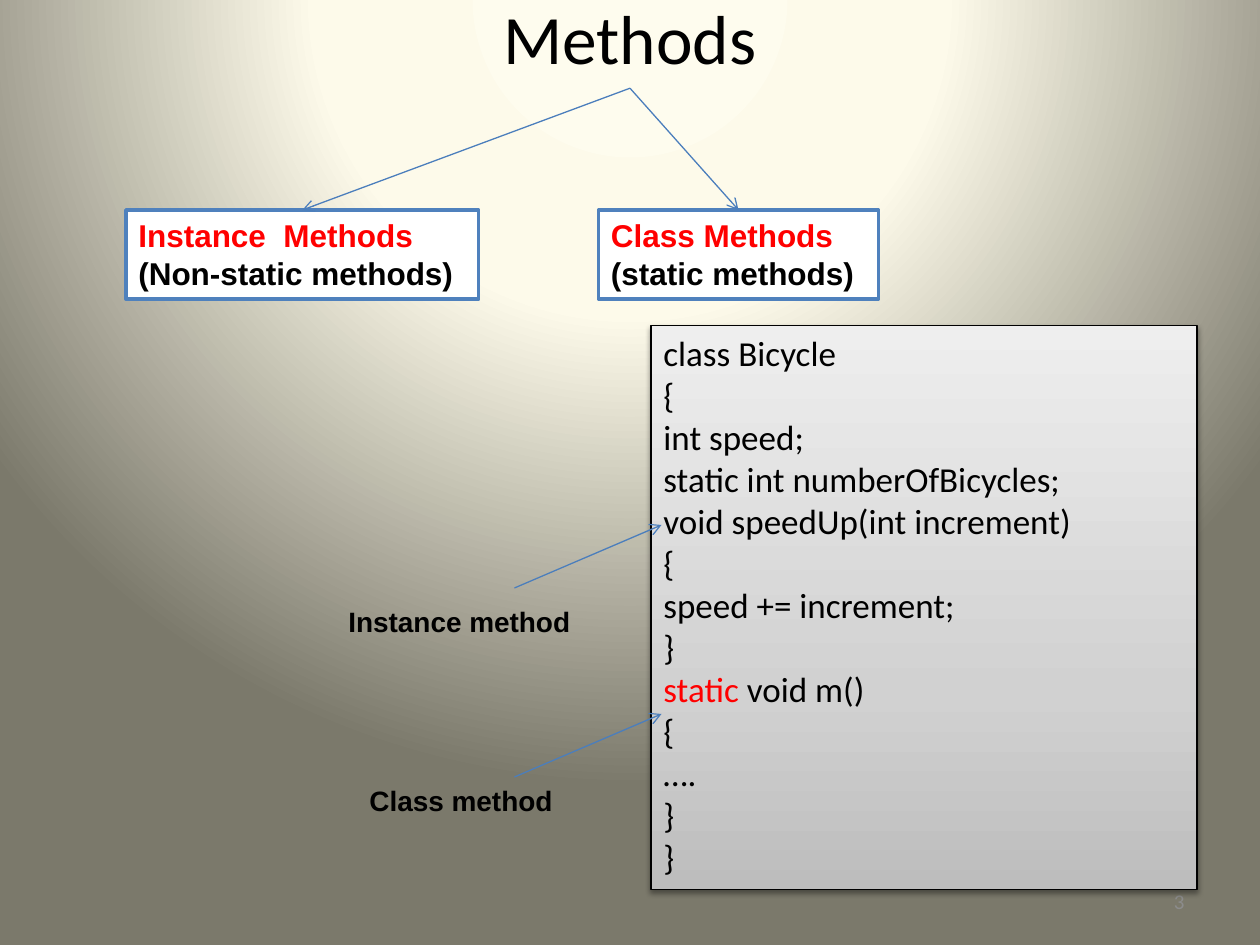
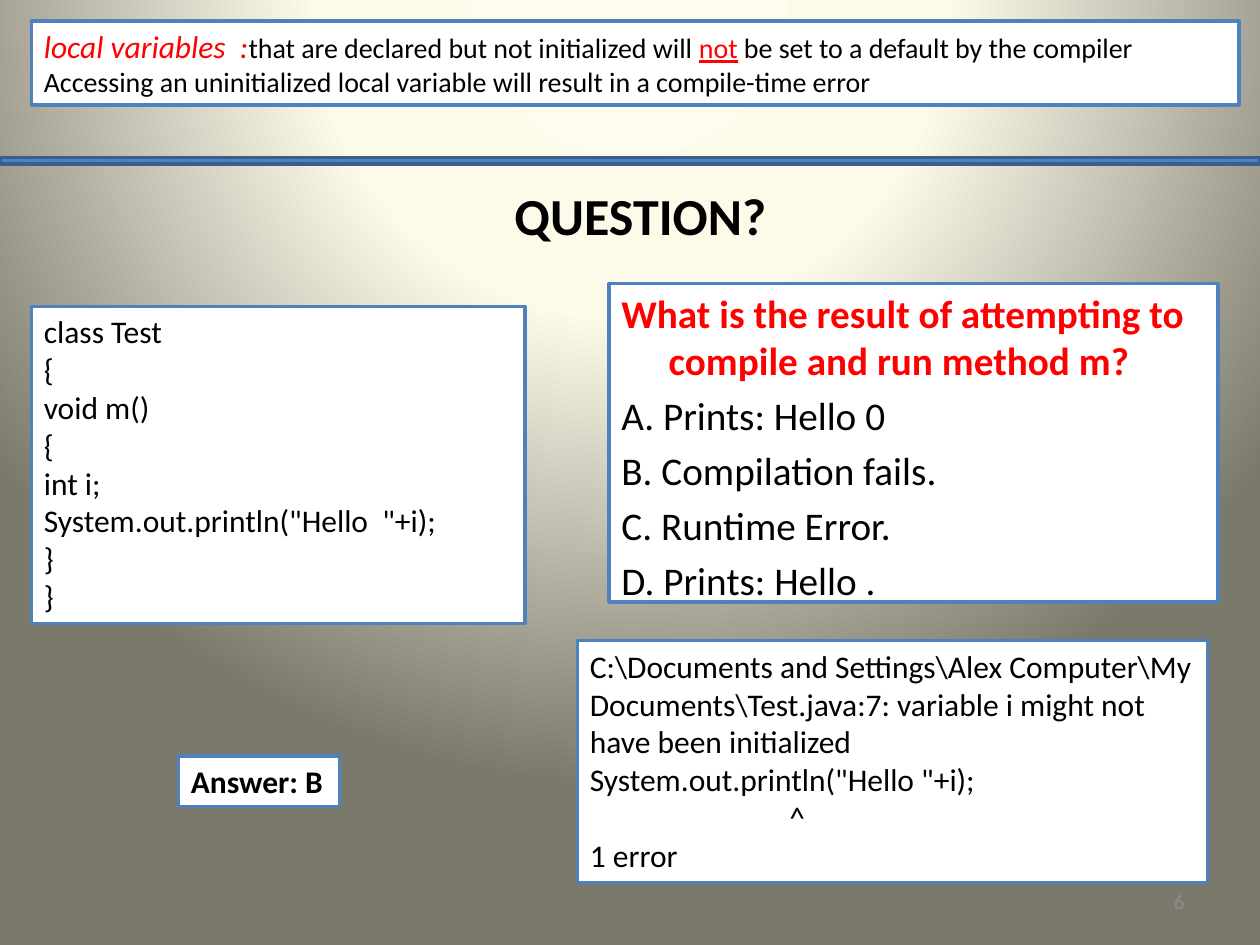
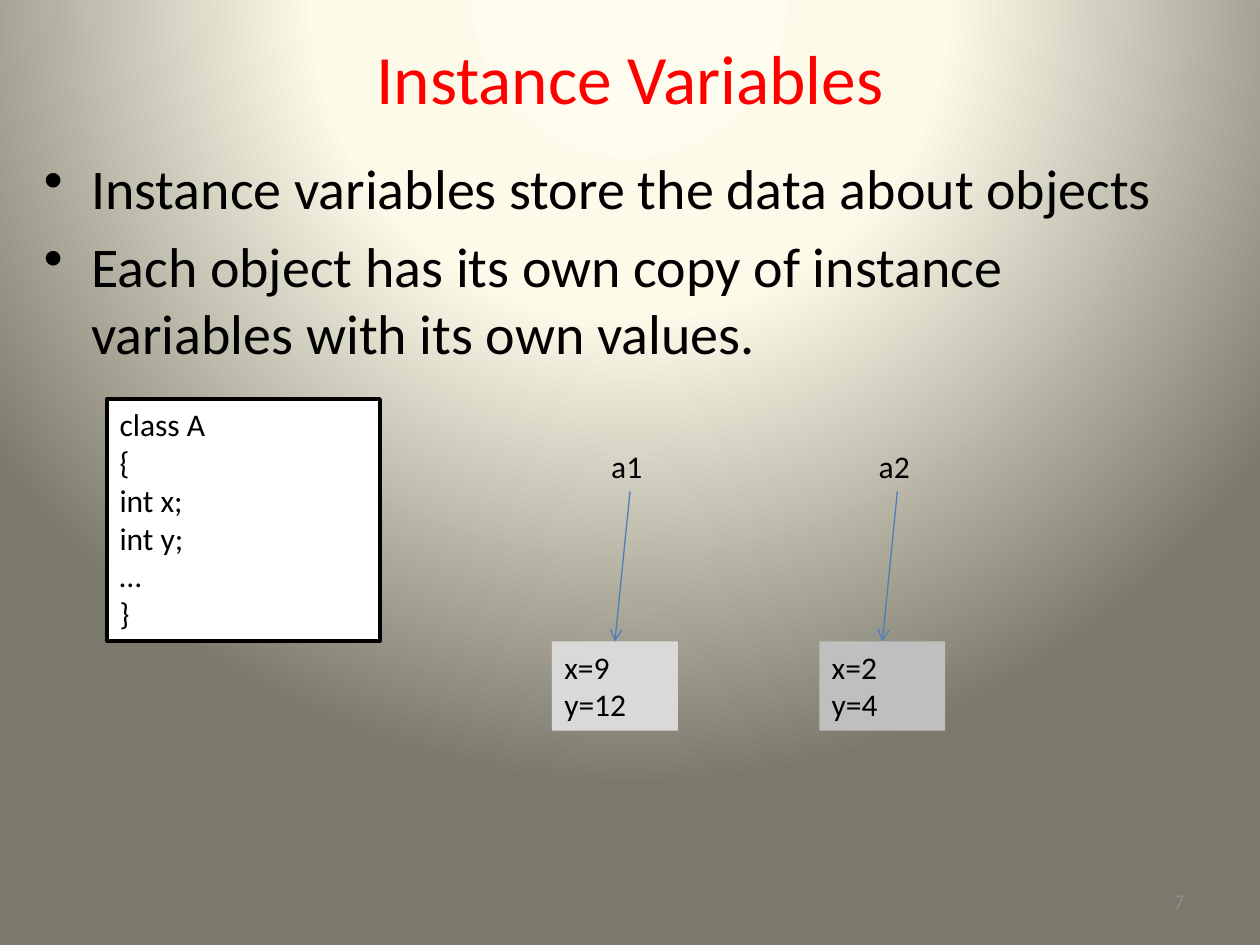
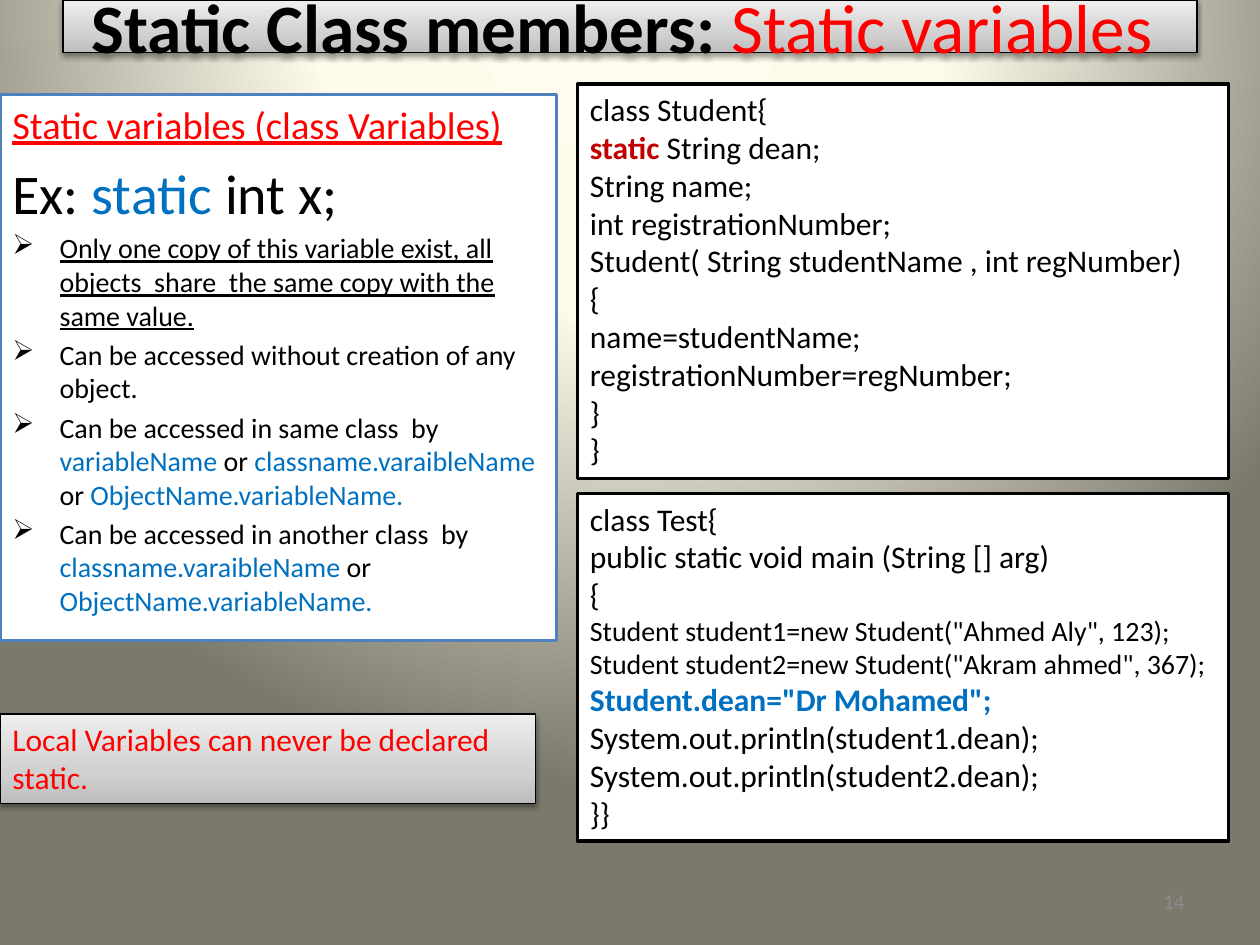
from lxml import etree
from pptx import Presentation
from pptx.dml.color import RGBColor
from pptx.enum.shapes import MSO_CONNECTOR, MSO_SHAPE
from pptx.enum.text import MSO_ANCHOR, MSO_AUTO_SIZE, PP_ALIGN
from pptx.oxml.ns import qn
from pptx.util import Pt

RECT, STRAIGHT = MSO_SHAPE.RECTANGLE, MSO_CONNECTOR.STRAIGHT
TOP, MIDDLE = MSO_ANCHOR.TOP, MSO_ANCHOR.MIDDLE
GROW, FIXED = MSO_AUTO_SIZE.SHAPE_TO_FIT_TEXT, MSO_AUTO_SIZE.NONE
LEFT, CENTER = PP_ALIGN.LEFT, PP_ALIGN.CENTER
RIGHT, JUSTIFY = PP_ALIGN.RIGHT, PP_ALIGN.JUSTIFY

BLACK, WHITE = RGBColor(0, 0, 0), RGBColor(255, 255, 255)
RED, WINE = RGBColor(255, 0, 0), RGBColor(0xC0, 0, 0)
SKY, BLUE = RGBColor(0, 0x70, 0xC0), RGBColor(0x4F, 0x81, 0xBD)
NAVY, ARROW = RGBColor(0x3A, 0x5F, 0x8C), RGBColor(0x4B, 0x7E, 0xBC)
PALE, GREY = RGBColor(0xD9, 0xD9, 0xD9), RGBColor(0xBF, 0xBF, 0xBF)
FAINT = RGBColor(0x8C, 0x8C, 0x8C)

CREAM = [(0, "FEFCEE"), (40, "FDFAEA"), (100, "7B796B")]
STEEL = [(0, "BDBDBD"), (35, "D1D1D1"), (100, "EEEEEE")]

# look: fill, line colour, line width
LOOKS = {
    "plain": None,
    "blue": (WHITE, BLUE, 2),
    "black": (WHITE, BLACK, 2),
    "steel": (STEEL, BLACK, 0.75),
    "bar": (BLUE, NAVY, 2),
    "pale": (PALE, None, 0),
    "grey": (GREY, None, 0),
}

BASE = dict(size=18, face="Calibri", ink=BLACK, bold=False, align=LEFT,
            hang=False, bullet=None, indent=0, lead=None)
TITLE = dict(size=39.6, align=CENTER, anchor=MIDDLE, fit=FIXED)
TIGHT = dict(TITLE, lead=0.8)
BODY = dict(hang=True, fit=FIXED)
LABEL = dict(size=16, face="Arial", bold=True, wrap=False)
KIND = dict(face="Arial", bold=True, wrap=False)
FOOT = dict(size=12, ink=FAINT, align=RIGHT, anchor=MIDDLE, fit=FIXED)
FOOT_AT = (516, 500.4, 168, 28.8)
HANG = 27


def para(*runs, **style):
    """A paragraph: plain strings or (text, changes) pairs, with its style."""
    return runs, style


def point(*runs, **style):
    return para(*runs, bullet="➢", size=16, **style)


BIKE = """class Bicycle
{
int speed;
static int numberOfBicycles;
void speedUp(int increment)
{
speed += increment;
}""".split("\n") + [para(("static", dict(ink=RED)), " void m()")] + list("{") + [
    "….", "}", "}"]

METHODS = [
    ("steel", (372, 186, 312, 322.5), BIKE, dict(size=20)),
    ("plain", (222, 0, 276, 50.4), ["Methods"], TIGHT),
    ("blue", (72, 120, 201.6, 51),
     [para("Instance  Methods", ink=RED), "(Non-static methods)"], KIND),
    ("blue", (342, 120, 160, 51),
     [para("Class Methods", ink=RED), "(static methods)"], KIND),
    ("plain", (192, 342, 142.5, 26.6), ["Instance method"], LABEL),
    ("plain", (204, 444, 120, 26.6), ["Class method"], LABEL),
]
METHOD_ARROWS = [
    (360, 50.4, 172.8, 120), (360, 50.4, 422, 120),
    (294, 336, 378, 300), (294, 444, 378, 408),
]

QUIZ = [
    ("blue", (18, 175, 282, 181.4),
     ["class Test", "{", "void m()", "{", "int i;",
      'System.out.println("Hello  "+i);', "}", "}"], {}),
    ("plain", (42, 108, 648, 36), ["QUESTION?"],
     dict(TIGHT, size=29.7, bold=True)),
    ("blue", (330, 366, 360, 138.2),
     ["C:\\Documents and Settings\\Alex Computer\\My Documents\\Test.java:7: "
      "variable i might not have been initialized",
      'System.out.println("Hello "+i);', para("^", indent=114), "1 error"], {}),
    ("blue", (348, 162, 348, 182),
     [para("What is the result of attempting to compile and run method m?",
           ink=RED, bold=True),
      "A. Prints: Hello 0", "B. Compilation fails.", "C. Runtime Error.",
      "D. Prints: Hello ."], dict(BODY, size=22.4)),
    ("blue", (102, 432, 92, 28.8), ["Answer: B"], dict(bold=True, wrap=False)),
    ("bar", (0, 90, 720, 3.6), [], dict(fit=FIXED)),
    ("blue", (18, 12, 690, 48),
     [para(("local variables  :", dict(ink=RED, size=18, italic=True)),
           "that are declared but not initialized will ",
           ("not", dict(ink=RED, line=True)),
           " be set to a default by the compiler"),
      "Accessing an uninitialized local variable will result in a "
      "compile-time error"], dict(size=16, align=JUSTIFY)),
]

FIELDS = [
    ("plain", (36, 21.6, 648, 44.6), ["Instance Variables"],
     dict(TITLE, ink=RED)),
    ("plain", (18, 84, 648, 126),
     ["Instance variables store the data about objects",
      "Each object has its own copy of instance variables with its own "
      "values."], dict(BODY, size=32, bullet="•")),
    ("black", (61.2, 228, 156, 138.2),
     ["class A", "{", "int x;", "int y;", "…", "}"], {}),
]
FIELD_ARROWS = []
OBJECTS = [("a1", ["x=9", "y=12"], "pale"), ("a2", ["x=2", "y=4"], "grey")]
for col, (name, values, look) in enumerate(OBJECTS):
    x = 315.4 + 152.8 * col
    FIELDS += [("plain", (x + 26.8, 251.7, 90, 29), [name], {}),
               (look, (x, 366.5, 72, 51), values, {})]
    FIELD_ARROWS.append((x + 44.6, 280.8, x + 36, 366.5))

HUE = dict(ink=SKY)
STATICS = [
    ("steel", (36, 0, 648, 30),
     [para(("Static Class members:", dict(bold=True)),
           (" Static variables ", dict(ink=RED)))], TITLE),
    ("blue", (0, 54, 318, 312),
     [para(("Static variables (class Variables)", dict(line=True)),
           size=22, ink=RED),
      para("Ex: ", ("static", HUE), " int x;", size=32),
      point(("Only one copy of this variable exist, all objects  share  the "
             "same copy with the same value.", dict(line=True))),
      point("Can be accessed without creation of any object."),
      point("Can be accessed in same class  by ", ("variableName", HUE),
            " or ", ("classname.varaibleName ", HUE), "or ",
            ("ObjectName.variableName.", HUE)),
      point("Can be accessed in another class  by ",
            ("classname.varaibleName", HUE), " or ",
            ("ObjectName.variableName.", HUE))], BODY),
    ("steel", (0, 408, 306, 51),
     ["Local Variables can never be declared static."], dict(ink=RED)),
    ("black", (330, 48, 372, 225.4),
     ["class Student{",
      para(("static", dict(ink=WINE, bold=True)), " String dean;"),
      "String name;", "int registrationNumber;",
      "Student( String studentName , int regNumber)", "{",
      "name=studentName;", "registrationNumber=regNumber;", "}", "}"], {}),
    ("black", (330, 282, 372, 198.7),
     ["class Test{", "public static void main (String [] arg)", "{",
      para('Student student1=new Student("Ahmed Aly", 123);', size=16),
      para('Student student2=new Student("Akram ahmed", 367);', size=16),
      para('Student.dean="Dr Mohamed";', ink=SKY, bold=True),
      "System.out.println(student1.dean);",
      "System.out.println(student2.dean);", "}}"], {}),
]

SLIDES = [
    ("3", METHODS, METHOD_ARROWS),
    ("6", QUIZ, []),
    ("7", FIELDS, FIELD_ARROWS),
    ("14", STATICS, []),
]


def add(parent, tag, **attrs):
    node = etree.SubElement(parent, qn("a:" + tag))
    for key, value in attrs.items():
        node.set(key, str(value))
    return node


def blend(fill, root, stops):
    """Put a gradient in fill; return its element, still without direction."""
    fill.gradient()
    grad = next(root.iter(qn("a:gradFill")))
    for child in list(grad):
        grad.remove(child)
    row = add(grad, "gsLst")
    for pos, tone in stops:
        add(add(row, "gs", pos=pos * 1000), "srgbClr", val=tone)
    return grad


def backdrop(slide):
    grad = blend(slide.background.fill, slide.element, CREAM)
    add(add(grad, "path", path="circle"), "fillToRect",
        l=50000, t=-80000, r=50000, b=180000)


def shade(shape):
    """Steel gradient, light at the top, with a soft shadow below."""
    grad = blend(shape.fill, shape.element, STEEL)
    add(grad, "lin", ang=16200000, scaled=0)
    effect = shape.element.spPr.find(qn("a:effectLst"))
    drop = add(effect, "outerShdw", blurRad=Pt(3.1), dist=Pt(1.6),
               dir=5400000, rotWithShape=0)
    add(add(drop, "srgbClr", val="000000"), "alpha", val=38000)


def write(par, runs, style):
    par.alignment = style["align"]
    props = par._p.get_or_add_pPr()
    if style["hang"]:
        par.space_before = Pt(0.2 * style["size"])
        props.set("marL", str(Pt(HANG)))
        props.set("indent", str(-Pt(HANG)))
    elif style["indent"]:
        props.set("marL", str(Pt(style["indent"])))
    if style["lead"]:
        par.line_spacing = style["lead"]
    if style["bullet"]:
        add(props, "buChar", char=style["bullet"])
    font = par.font
    font.name, font.size = style["face"], Pt(style["size"])
    font.bold, font.color.rgb = style["bold"], style["ink"]
    for item in runs:
        text, change = (item, {}) if isinstance(item, str) else item
        run = par.add_run()
        run.text = text
        if "ink" in change:
            run.font.color.rgb = change["ink"]
        if "size" in change:
            run.font.size = Pt(change["size"])
        if "bold" in change:
            run.font.bold = True
        if "italic" in change:
            run.font.italic = True
        if "line" in change:
            run.font.underline = True


def box(slide, look, place, paras, style):
    place = [Pt(n) for n in place]
    if LOOKS[look]:
        fill, edge, width = LOOKS[look]
        shape = slide.shapes.add_shape(RECT, *place)
        shape.shadow.inherit = False
        if edge is None:
            shape.line.fill.background()
        else:
            shape.line.color.rgb, shape.line.width = edge, Pt(width)
        if fill is STEEL:
            shade(shape)
        else:
            shape.fill.solid()
            shape.fill.fore_color.rgb = fill
    else:
        shape = slide.shapes.add_textbox(*place)
    frame = shape.text_frame
    frame.word_wrap = style.get("wrap", True)
    frame.auto_size = style.get("fit", GROW)
    frame.vertical_anchor = style.get("anchor", TOP)
    for i, item in enumerate(paras):
        runs, change = para(item) if isinstance(item, str) else item
        par = frame.add_paragraph() if i else frame.paragraphs[0]
        write(par, runs, {**BASE, **style, **change})


def arrow(slide, ends):
    link = slide.shapes.add_connector(STRAIGHT, *[Pt(n) for n in ends])
    link.line.color.rgb, link.line.width = ARROW, Pt(0.75)
    props = link.element.spPr
    add(props.find(qn("a:ln")), "tailEnd", type="arrow")
    add(props, "effectLst")


def main():
    deck = Presentation()
    deck.slide_width, deck.slide_height = Pt(720), Pt(540)
    for number, boxes, arrows in SLIDES:
        slide = deck.slides.add_slide(deck.slide_layouts[6])
        backdrop(slide)
        box(slide, "plain", FOOT_AT, [number], FOOT)
        for part in boxes:
            box(slide, *part)
        for ends in arrows:
            arrow(slide, ends)
    deck.save("out.pptx")


if __name__ == "__main__":
    main()
